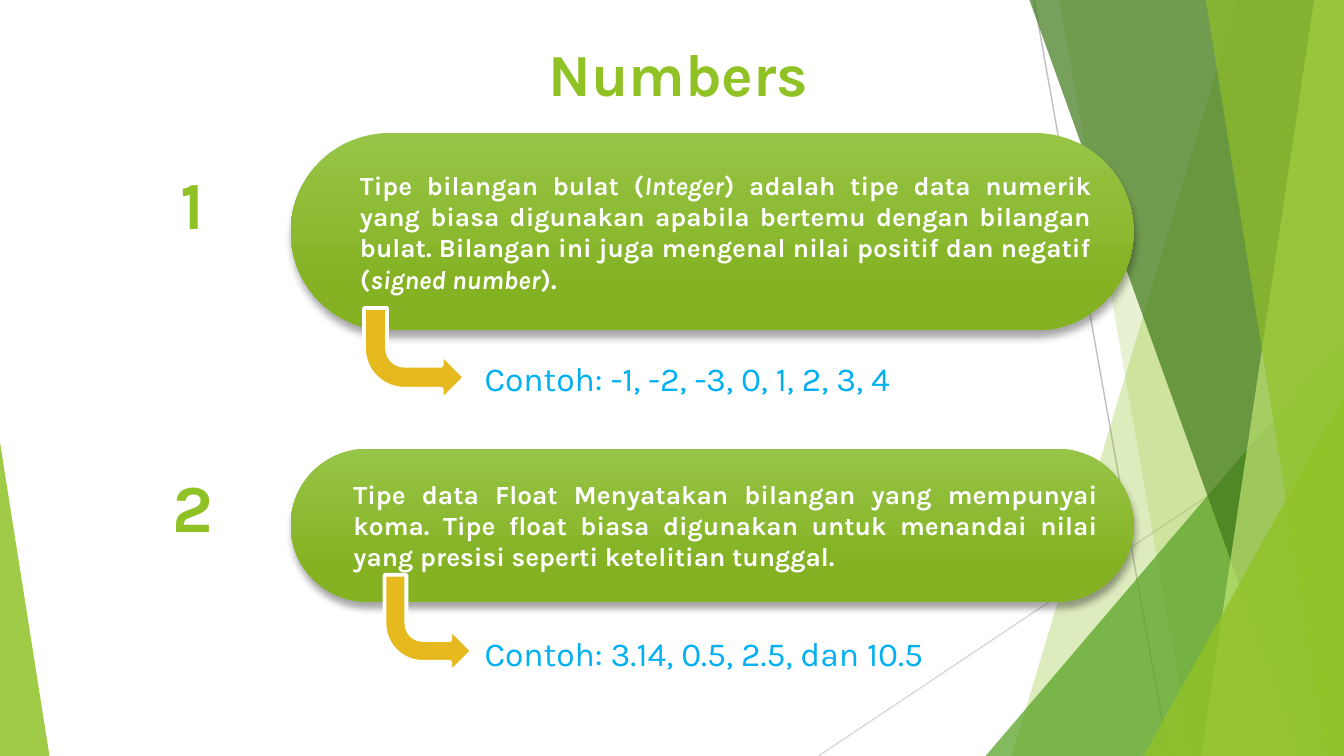
"""Build the "Numbers" slide on integer and float data types."""
from dataclasses import dataclass

from lxml.etree import SubElement
from pptx import Presentation
from pptx.dml.color import RGBColor
from pptx.enum.shapes import MSO_CONNECTOR, MSO_SHAPE
from pptx.enum.text import MSO_ANCHOR, MSO_AUTO_SIZE, PP_ALIGN
from pptx.oxml import parse_xml
from pptx.oxml.ns import nsdecls, qn
from pptx.util import Pt


@dataclass(frozen=True)
class Theme:
    font: str = "Karla"
    green: str = "90C226"
    mid_green: str = "54A021"
    dark_green: str = "3F7819"
    pale_green: str = "C0E474"
    pill_top: str = "97C547"
    pill_bottom: str = "84B223"
    gold: str = "E6B91E"
    blue: str = "00B0F0"
    white: str = "FFFFFF"
    grey: str = "BFBFBF"
    light_grey: str = "D9D9D9"
    title_size: int = 32
    number_size: int = 36
    body_size: int = 14
    example_size: int = 18


theme = Theme()


def write(shape, runs, size, color, bold=False, align=PP_ALIGN.LEFT,
          anchor=MSO_ANCHOR.TOP, insets=(7.2, 3.6, 7.2, 3.6)):
    frame = shape.text_frame
    frame.word_wrap = True
    frame.auto_size = MSO_AUTO_SIZE.NONE
    frame.vertical_anchor = anchor
    frame.margin_left, frame.margin_top, frame.margin_right, frame.margin_bottom = map(Pt, insets)
    paragraph = frame.paragraphs[0]
    paragraph.alignment = align
    for text, italic in runs:
        run = paragraph.add_run()
        run.text = text
        run.font.name = theme.font
        run.font.size = Pt(size)
        run.font.bold = bold
        run.font.italic = italic
        run.font.color.rgb = RGBColor.from_string(color)


def paint(shape, color, opacity=100):
    shape.shadow.inherit = False
    shape.line.fill.background()
    shape.fill.solid()
    shape.fill.fore_color.rgb = RGBColor.from_string(color)
    if opacity < 100:
        swatch = shape.fill._xPr.find(qn("a:solidFill"))[0]
        SubElement(swatch, qn("a:alpha"), val=str(opacity * 1000))


width, height = 720, 405
presentation = Presentation()
presentation.slide_width, presentation.slide_height = Pt(width), Pt(height)
slide = presentation.slides.add_slide(presentation.slide_layouts[5])
shapes = slide.shapes

for x1, y1, x2, y2, color in (
    (554, 0, 626, height, theme.grey),
    (width, 217, 438.5, height, theme.light_grey),
):
    ray = shapes.add_connector(MSO_CONNECTOR.STRAIGHT, Pt(x1), Pt(y1), Pt(x2), Pt(y2))
    ray.line.color.rgb = RGBColor.from_string(color)
    ray.line.width = Pt(0.75)
    SubElement(ray._element.spPr, qn("a:effectLst"))

bands = (
    (663, 542, theme.green, 30),
    (567.5, 638.5, theme.green, 20),
    (528, 180, 192, 1, theme.mid_green, 72),
    (551.5, 697, theme.dark_green, 70),
    (704, 643.5, theme.pale_green, 70),
    (646, 711, theme.green, 65),
    (612.5, 212, 107.5, 1, theme.green, 80),
    (0, 237, 26.5, 0, theme.green, 85),
)
for *geometry, color, opacity in bands:
    if len(geometry) == 2:
        top_x, bottom_x = geometry
        builder = shapes.build_freeform(Pt(top_x), 0)
        builder.add_line_segments(
            [(Pt(width), 0), (Pt(width), Pt(height)), (Pt(bottom_x), Pt(height))])
        band = builder.convert_to_shape()
    else:
        left, top, span, apex = geometry
        band = shapes.add_shape(MSO_SHAPE.ISOSCELES_TRIANGLE, Pt(left), Pt(top),
                                Pt(span), Pt(height - top))
        band.adjustments[0] = apex
    paint(band, color, opacity)

title = shapes.title
title.left, title.top, title.width, title.height = Pt(65.5), Pt(10), Pt(596), Pt(55.5)
write(title, [("Numbers", False)], theme.title_size, theme.green, True,
      PP_ALIGN.CENTER, MSO_ANCHOR.BOTTOM, (7.2,) * 4)
shapes._spTree.append(title._element)

integer_runs = [
    ("Tipe bilangan bulat (", False),
    ("Integer", True),
    (") adalah tipe data numerik yang biasa digunakan apabila bertemu dengan bilangan "
     "bulat. Bilangan ini juga mengenal nilai positif dan negatif (", False),
    ("signed number", True),
    (").", False),
]
float_runs = [
    ("Tipe data Float Menyatakan bilangan yang mempunyai koma. Tipe float biasa digunakan "
     "untuk menandai nilai yang presisi seperti ketelitian tunggal.", False),
]
number_types = (
    ("1", 83, integer_runs, 71.3, 105.8, (195, 165, 54, 49.5),
     "Contoh: -1, -2, -3, 0, 1, 2, 3, 4", 188),
    ("2", 245.5, float_runs, 240.3, 82, (206, 308, 47, 52.5),
     "Contoh: 3.14, 0.5, 2.5, dan 10.5", 335.5),
)
for number, number_top, runs, pill_top, pill_height, arrow_box, example, example_top in number_types:
    label = shapes.add_textbox(Pt(65.5), Pt(number_top), Pt(75.5), Pt(51))
    write(label, [(number, False)], theme.number_size, theme.green, True,
          PP_ALIGN.CENTER, MSO_ANCHOR.MIDDLE, (8.6, 3.6, 8.6, 3.6))

    pill = shapes.add_shape(MSO_SHAPE.ROUNDED_RECTANGLE, Pt(155.8), Pt(pill_top),
                            Pt(451.5), Pt(pill_height))
    pill.adjustments[0] = 0.5
    paint(pill, theme.pill_bottom)
    pill.fill.gradient()
    pill.fill.gradient_angle = 270
    stops = pill.fill.gradient_stops
    for stop, position, color in zip(stops, (0, 0.78), (theme.pill_top, theme.pill_bottom)):
        stop.position = position
        stop.color.rgb = RGBColor.from_string(color)
    pill._element.spPr.find(qn("a:effectLst")).append(parse_xml(
        f'<a:outerShdw {nsdecls("a")} blurRad="{Pt(4)}" dist="{Pt(3)}" dir="5400000" '
        'rotWithShape="0"><a:srgbClr val="000000"><a:alpha val="35000"/></a:srgbClr>'
        '</a:outerShdw>'))
    write(pill, runs, theme.body_size, theme.white, True, PP_ALIGN.JUSTIFY,
          MSO_ANCHOR.MIDDLE, (21.6, 3.6, 7.2, 3.6))

    arrow = shapes.add_shape(MSO_SHAPE.BENT_ARROW, *map(Pt, arrow_box))
    paint(arrow, theme.gold)
    arrow.line.color.rgb = RGBColor.from_string(theme.white)
    arrow.line.width = Pt(2)
    arrow._element.spPr.xfrm.set("flipV", "1")

    sample = shapes.add_textbox(Pt(252.5), Pt(example_top), Pt(304), Pt(29))
    write(sample, [(example, False)], theme.example_size, theme.blue)

presentation.save("out.pptx")
